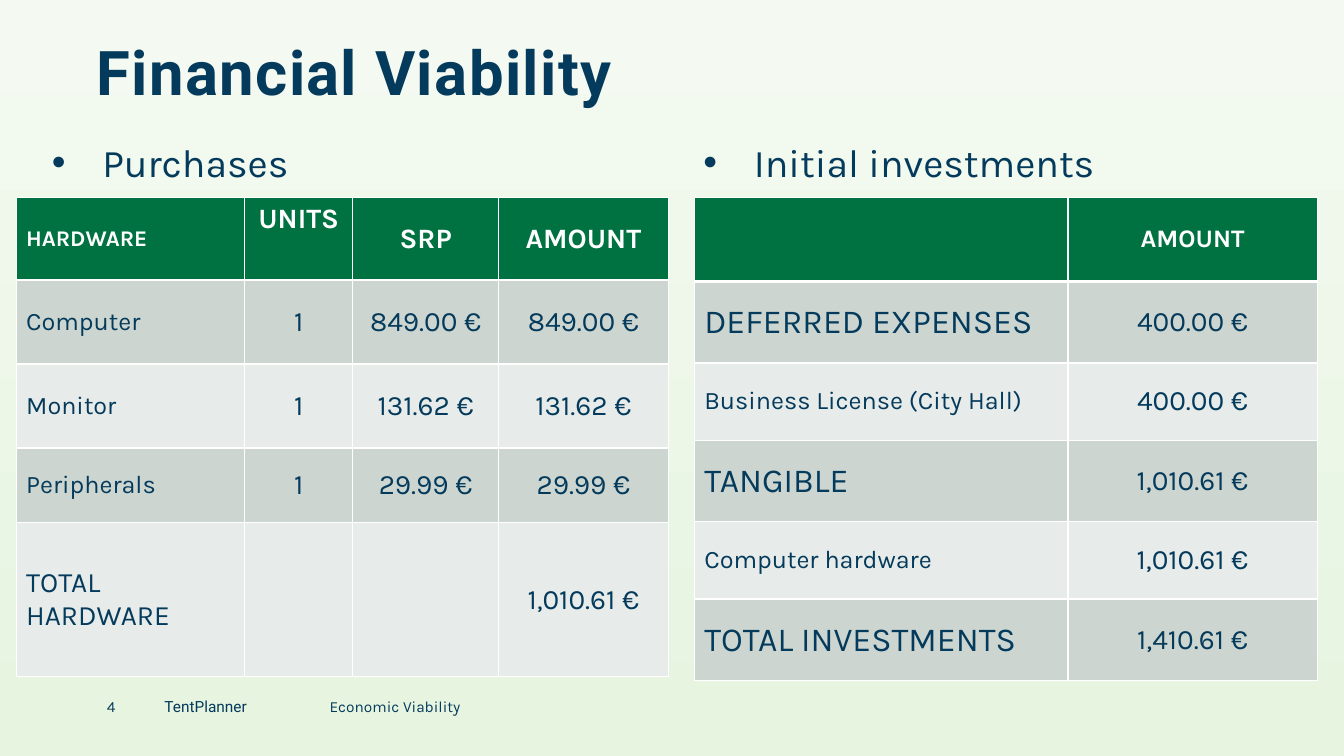
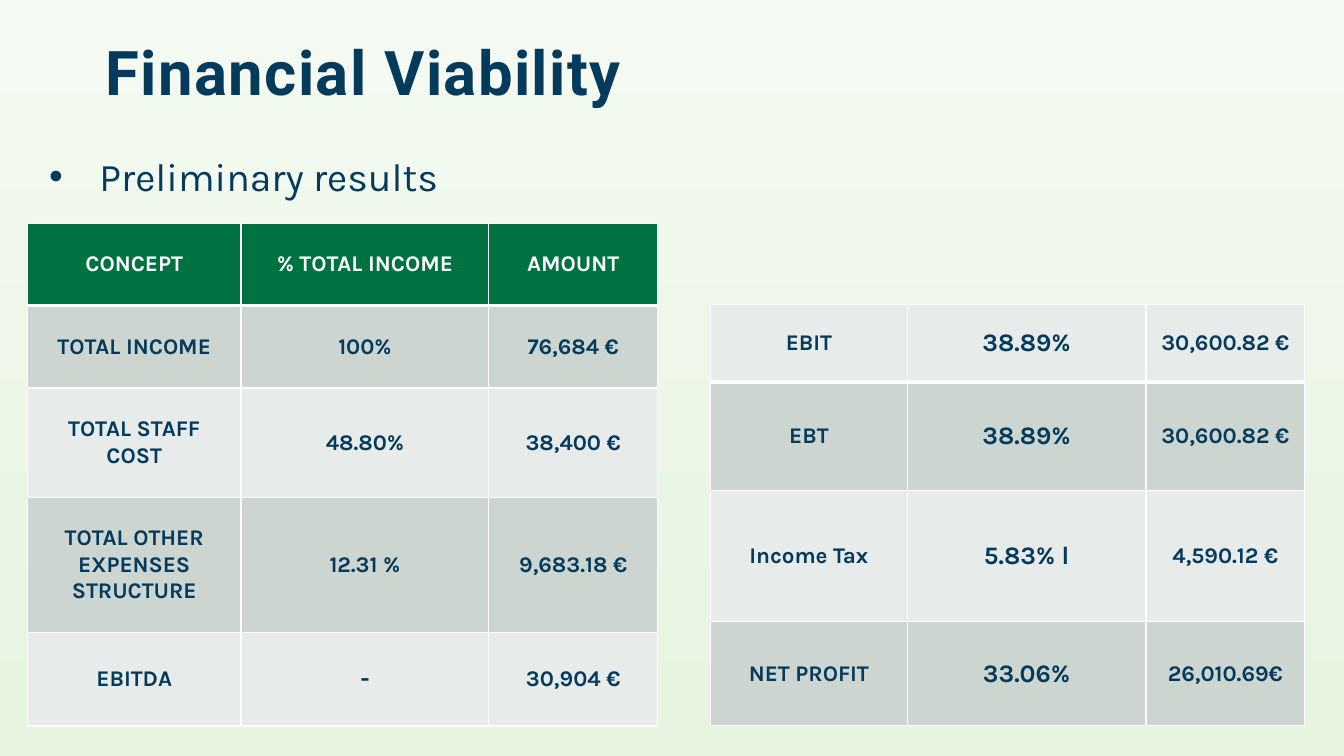
from lxml import etree
from pptx import Presentation
from pptx.dml.color import RGBColor
from pptx.enum.text import MSO_ANCHOR, PP_ALIGN
from pptx.oxml.ns import qn
from pptx.util import Pt

NAVY = RGBColor(0x04, 0x3A, 0x5B)
GREEN = RGBColor(0x00, 0x72, 0x42)
BAND_DARK = RGBColor(0xCC, 0xD5, 0xCF)
BAND_LIGHT = RGBColor(0xE7, 0xEB, 0xE9)
WHITE = RGBColor(0xFF, 0xFF, 0xFF)
BACKGROUND_TOP = RGBColor(0xF4, 0xFA, 0xF1)
BACKGROUND_BOTTOM = RGBColor(0xE6, 0xF4, 0xE0)

HEADING_FONT = "Roboto"
BODY_FONT = "Karla"

LEFT, CENTER = PP_ALIGN.LEFT, PP_ALIGN.CENTER
TOP, MIDDLE, BOTTOM = MSO_ANCHOR.TOP, MSO_ANCHOR.MIDDLE, MSO_ANCHOR.BOTTOM


class Deck:
    """Holds the shared style and the slide being filled."""

    def __init__(self):
        self.presentation = Presentation()
        self.presentation.slide_width = Pt(960)
        self.presentation.slide_height = Pt(540)
        self.slide = None

    def new_slide(self):
        layout = self.presentation.slide_layouts[6]
        self.slide = self.presentation.slides.add_slide(layout)
        fill = self.slide.background.fill
        fill.gradient()
        fill.gradient_angle = 270
        stops = fill.gradient_stops
        for stop, color, position in zip(stops, (BACKGROUND_TOP, BACKGROUND_BOTTOM), (0, 1)):
            stop.color.rgb = color
            stop.position = position

    def style(self, paragraph, size, font=BODY_FONT, color=NAVY, bold=False):
        for run in paragraph.runs:
            run.font.name = font
            run.font.size = Pt(size)
            run.font.bold = bold
            run.font.color.rgb = color

    def text(self, text, left, top, width, height, size, font=BODY_FONT,
             bold=False, anchor=TOP, inset=True):
        box = self.slide.shapes.add_textbox(Pt(left), Pt(top), Pt(width), Pt(height))
        frame = box.text_frame
        frame.word_wrap = True
        frame.vertical_anchor = anchor
        if not inset:
            frame.margin_left = frame.margin_right = 0
            frame.margin_top = frame.margin_bottom = 0
        frame.text = text
        paragraph = frame.paragraphs[0]
        self.style(paragraph, size, font, bold=bold)
        return paragraph

    def title(self, text, left):
        paragraph = self.text(text, left, 29.5, 389, 48, 44, HEADING_FONT,
                              bold=True, anchor=BOTTOM, inset=False)
        paragraph.line_spacing = 0.9
        paragraph.runs[0].font._element.set("spc", "100")

    def bullet(self, text, left, top, width):
        paragraph = self.text(text, left, top, width, 63, 28)
        properties = paragraph._p.get_or_add_pPr()
        properties.set("marL", str(Pt(36)))
        properties.set("indent", str(Pt(-36)))
        etree.SubElement(properties, qn("a:buFont"), typeface="Arial")
        etree.SubElement(properties, qn("a:buChar"), char="•")

    def footer(self, number, name, section):
        for text, left, width, font in ((number, 76.3, 41, BODY_FONT),
                                        (name, 117.4, 118, HEADING_FONT),
                                        (section, 235.4, 104, BODY_FONT)):
            self.text(text, left, 498.2, width, 19.5, 11, font, inset=False)

    def borders(self, cell, top, bottom):
        properties = cell._tc.get_or_add_tcPr()
        widths = {"a:lnL": 1, "a:lnR": 1, "a:lnT": top, "a:lnB": bottom}
        for index, (tag, width) in enumerate(widths.items()):
            line = etree.Element(qn(tag), w=str(Pt(width)))
            fill = etree.SubElement(line, qn("a:solidFill"))
            etree.SubElement(fill, qn("a:srgbClr"), val=str(WHITE))
            properties.insert(index, line)

    def table(self, rows, left, top, widths, heights, sizes, first_align=CENTER,
              header=True, bold=False, rule=3):
        """A cell is its text, or a (text, size) pair that overrides the column size."""
        frame = self.slide.shapes.add_table(len(rows), len(widths), Pt(left), Pt(top),
                                            Pt(sum(widths)), Pt(sum(heights)))
        table = frame.table
        for column, width in zip(table.columns, widths):
            column.width = Pt(width)
        for row_index, (values, height) in enumerate(zip(rows, heights)):
            table.rows[row_index].height = Pt(height)
            is_header = header and row_index == 0
            fill = GREEN if is_header else (BAND_LIGHT, BAND_DARK)[row_index % 2]
            for column_index, value in enumerate(values):
                text, size = value if isinstance(value, tuple) else (value, sizes[column_index])
                cell = table.cell(row_index, column_index)
                cell.fill.solid()
                cell.fill.fore_color.rgb = fill
                cell.vertical_anchor = MIDDLE
                self.borders(cell, rule if row_index == 1 else 1,
                             rule if row_index == 0 else 1)
                cell.text_frame.text = text
                paragraph = cell.text_frame.paragraphs[0]
                paragraph.alignment = first_align if column_index == 0 else CENTER
                self.style(paragraph, size, color=WHITE if is_header else NAVY,
                           bold=bold or is_header)
        return table


def purchases_and_investments(deck):
    deck.new_slide()
    deck.title("Financial Viability", 69)
    deck.footer("4", "TentPlanner", "Economic Viability")

    # Purchases
    deck.bullet("Purchases", 30, 95, 216)
    purchases = deck.table(
        [[("HARDWARE", 16), "UNITS", "SRP", "AMOUNT"],
         ["Computer", "1", "849.00 €", "849.00 €"],
         ["Monitor", "1", "131.62 €", "131.62 €"],
         ["Peripherals", "1", "29.99 €", "29.99 €"],
         [("TOTAL HARDWARE", 20), "", "", "1,010.61 €"]],
        11.5, 141, [163.4, 77, 104.4, 121], [59, 60, 60, 53.5, 110],
        [18, 20, 20, 20], first_align=LEFT, rule=2)
    purchases.cell(0, 1).vertical_anchor = TOP

    # Initial investments
    deck.bullet("Initial investments", 495.4, 95, 320)
    deck.table(
        [["", ("AMOUNT", 18)],
         [("DEFERRED EXPENSES", 24), "400.00 €"],
         ["Business License (City Hall)", "400.00 €"],
         [("TANGIBLE", 24), "1,010.61 €"],
         ["Computer hardware", "1,010.61 €"],
         [("TOTAL INVESTMENTS", 24), "1,410.61 €"]],
        495.9, 141, [267, 178], [60, 58.3, 55.2, 58.3, 55.2, 58.3],
        [18, 20], first_align=LEFT, rule=2)


def preliminary_results(deck):
    deck.new_slide()
    deck.title("Financial Viability", 75.6)
    deck.bullet("Preliminary results", 28, 105, 343)

    # Income down to EBITDA
    deck.table(
        [["CONCEPT", "% TOTAL INCOME", "AMOUNT"],
         ["TOTAL INCOME", "100%", "76,684 €"],
         ["TOTAL STAFF\vCOST", "48.80%", "38,400 €"],
         ["TOTAL OTHER EXPENSES STRUCTURE", "12.31 %", "9,683.18 €"],
         ["EBITDA", ("-", 18), "30,904 €"]],
        19.6, 159.6, [152.6, 177, 120.6], [58.6, 59, 78, 96.5, 67],
        [16, 16, 16], bold=True)

    # EBIT down to net profit
    deck.table(
        [["EBIT", "38.89%", "30,600.82 €"],
         ["EBT", "38.89%", "30,600.82 €"],
         ["Income Tax", "5.83% l", "4,590.12 €"],
         ["NET PROFIT", "33.06%", "26,010.69€"]],
        507.6, 217.4, [140.4, 170.6, 113.4], [55.4, 77.8, 93.6, 74.2],
        [16, 18, 16], header=False, bold=True)


def main():
    deck = Deck()
    purchases_and_investments(deck)
    preliminary_results(deck)
    deck.presentation.save("out.pptx")


if __name__ == "__main__":
    main()
